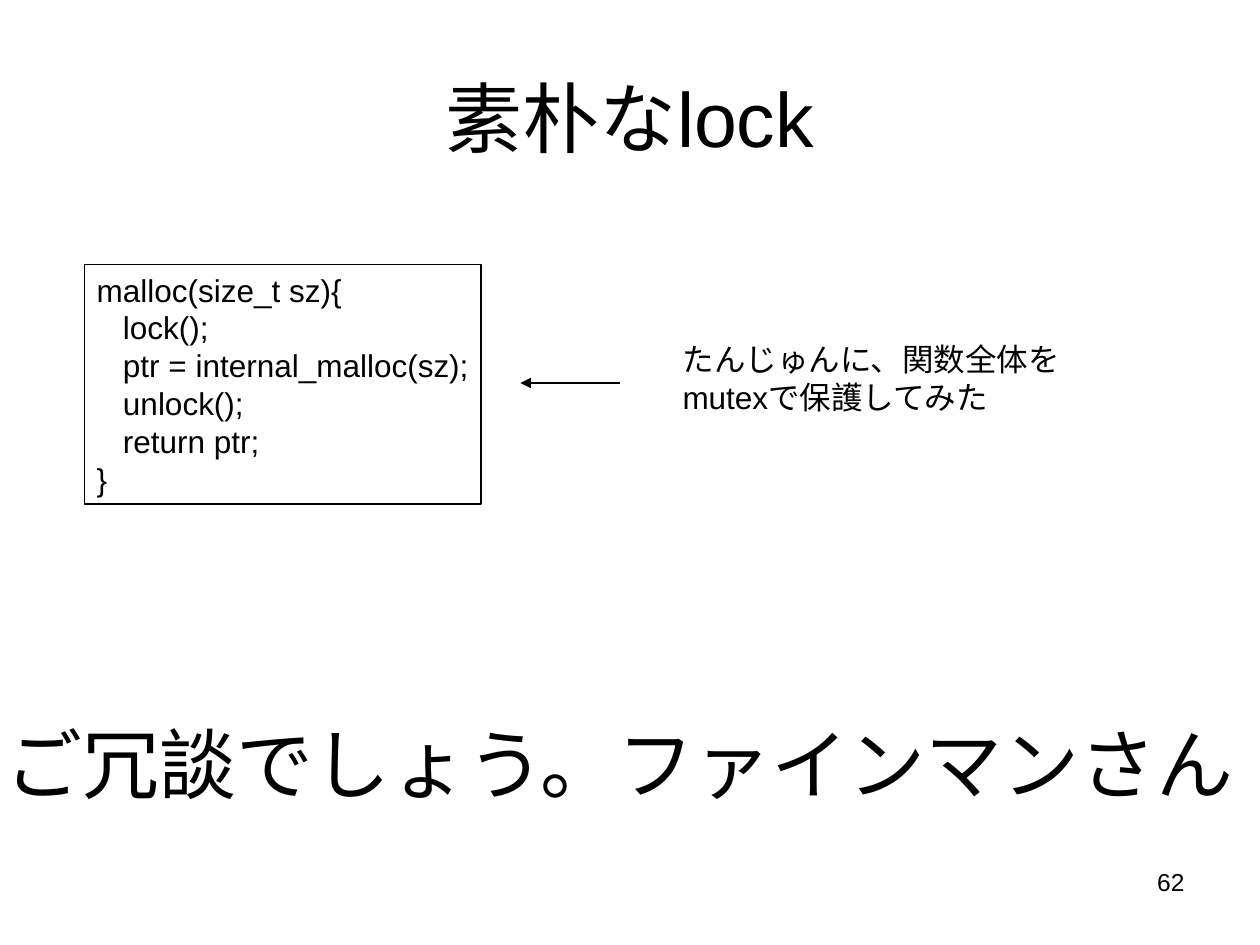
from lxml.etree import SubElement
from pptx import Presentation
from pptx.dml.color import RGBColor
from pptx.enum.shapes import MSO_CONNECTOR as Connector, MSO_SHAPE as Shape
from pptx.enum.text import MSO_ANCHOR as Anchor, MSO_AUTO_SIZE as AutoSize, PP_ALIGN as Align
from pptx.oxml.ns import qn
from pptx.util import Cm, Pt

COLORS = {"ink": "000000", "paper": "FFFFFF"}
FONT = "Arial"
INDENT = Cm(0.53)
LINE_WIDTH = Pt(0.75)

TITLE = ["素朴なlock"]
CODE = [
    ("malloc(size_t sz){", 0),
    ("lock();", 1),
    ("ptr = internal_malloc(sz);", 1),
    ("unlock();", 1),
    ("return ptr;", 1),
    ("}", 0),
]
NOTE = ["たんじゅんに、関数全体を", "mutexで保護してみた"]
PUNCHLINE = ["ご冗談でしょう。ファインマンさん"]
PAGE_NUMBER = ["62"]

TITLE_AREA = (1.27, 0.76, 22.86, 3.18)
CODE_AREA = (1.7, 5.33, 8, 4.83)
NOTE_AREA = (13.51, 6.73, 8.13, 1.78)
PUNCHLINE_AREA = (-0.13, 14.33, 25.35, 2.13)
PAGE_AREA = (18.21, 17.35, 5.92, 1.32)
ARROW = (12.5, 7.72, 10.49, 7.72)


def color(name):
    return RGBColor.from_string(COLORS[name])


def write(box, lines, size, align=Align.LEFT, anchor=Anchor.TOP, wrap=False):
    frame = box.text_frame
    frame.word_wrap = wrap
    frame.auto_size = AutoSize.NONE if wrap else AutoSize.SHAPE_TO_FIT_TEXT
    frame.vertical_anchor = anchor
    for index, line in enumerate(lines):
        text, level = line if isinstance(line, tuple) else (line, 0)
        para = frame.add_paragraph() if index else frame.paragraphs[0]
        para.alignment = align
        if level:
            para._p.get_or_add_pPr().set("marL", str(level * INDENT))
        span = para.add_run()
        span.text = text
        span.font.name = FONT
        span.font.size = Pt(size)
        span.font.color.rgb = color("ink")


def add_text(page, area, lines, size, **layout):
    box = page.shapes.add_textbox(*map(Cm, area))
    write(box, lines, size, **layout)


def add_code(page):
    box = page.shapes.add_shape(Shape.RECTANGLE, *map(Cm, CODE_AREA))
    box.shadow.inherit = False
    box.fill.background()
    box.line.color.rgb = color("ink")
    box.line.width = LINE_WIDTH
    write(box, CODE, 18)


def add_arrow(page):
    arrow = page.shapes.add_connector(Connector.STRAIGHT, *map(Cm, ARROW))
    arrow.line.color.rgb = color("ink")
    arrow.line.width = LINE_WIDTH
    SubElement(arrow.line._get_or_add_ln(), qn("a:tailEnd"), type="triangle")
    SubElement(arrow._element.spPr, qn("a:effectLst"))


def main():
    deck = Presentation()
    deck.slide_width, deck.slide_height = Cm(25.4), Cm(19.05)
    page = deck.slides.add_slide(deck.slide_layouts[6])
    page.background.fill.solid()
    page.background.fill.fore_color.rgb = color("paper")

    add_text(page, TITLE_AREA, TITLE, 44, align=Align.CENTER, anchor=Anchor.MIDDLE, wrap=True)
    add_code(page)
    add_text(page, PUNCHLINE_AREA, PUNCHLINE, 44)
    add_arrow(page)
    add_text(page, NOTE_AREA, NOTE, 18)
    add_text(page, PAGE_AREA, PAGE_NUMBER, 14, align=Align.RIGHT, wrap=True)
    deck.save("out.pptx")


if __name__ == "__main__":
    main()
